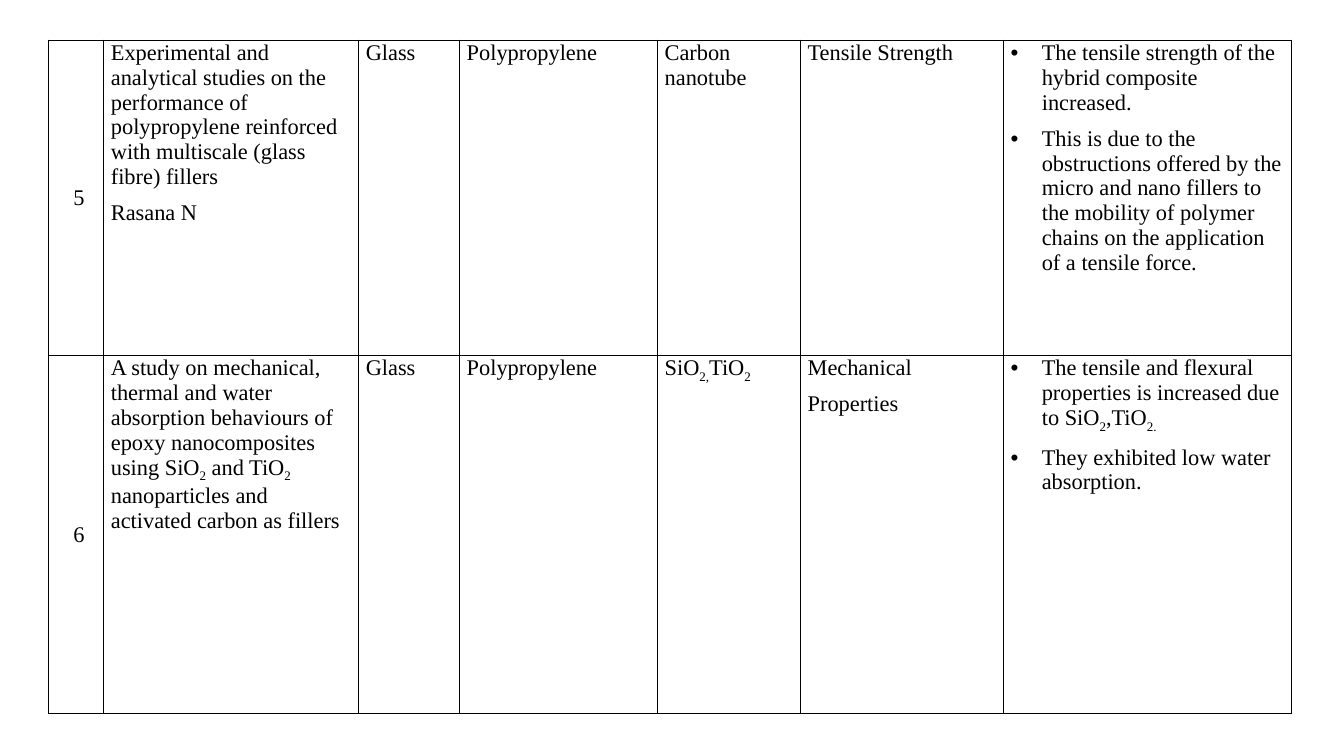
from dataclasses import dataclass

from lxml import etree
from pptx import Presentation
from pptx.dml.color import RGBColor
from pptx.enum.text import MSO_ANCHOR, PP_ALIGN
from pptx.oxml.ns import qn
from pptx.util import Inches, Pt

LEFT, CENTER = PP_ALIGN.LEFT, PP_ALIGN.CENTER
TOP, MIDDLE = MSO_ANCHOR.TOP, MSO_ANCHOR.MIDDLE
SUBSCRIPT_MARK = "~"  # wraps subscript text
BULLET_MARK = "• "  # starts a bulleted paragraph


@dataclass(frozen=True)
class Theme:
    """Colours, type and spacing of the slide."""
    font: str = "Times New Roman"
    size: float = 16
    text: str = "000000"
    border: str = "000000"
    border_width: float = 1
    space_after: float = 8
    cell_margin: float = 0.07
    bullet_indent: float = 0.31
    subscript_shift: int = -25000


class SlideBuilder:
    """Draws elements on one slide; lengths are percentages of its size."""

    def __init__(self, presentation, theme):
        """Add a blank slide and keep the theme."""
        self.presentation = presentation
        self.theme = theme
        self.slide = presentation.slides.add_slide(presentation.slide_layouts[6])

    def across(self, percent):
        """Turn a percentage of the slide width into a length."""
        return round(self.presentation.slide_width * percent / 100)

    def down(self, percent):
        """Turn a percentage of the slide height into a length."""
        return round(self.presentation.slide_height * percent / 100)

    def table(self, left, top, column_widths, row_heights, rows):
        """Add a bordered table whose first column holds centred numbers."""
        table = self.slide.shapes.add_table(
            len(row_heights), len(column_widths),
            self.across(left), self.down(top),
            self.across(sum(column_widths)), self.down(sum(row_heights))).table
        table.first_row = table.horz_banding = False
        for column, width in zip(table.columns, column_widths):
            column.width = self.across(width)
        for row, height, texts in zip(table.rows, row_heights, rows):
            row.height = self.down(height)
            for index, (cell, text) in enumerate(zip(row.cells, texts)):
                self.cell(cell, text, is_number=index == 0)

    def cell(self, cell, text, is_number):
        """Style one cell and write its paragraphs."""
        cell.margin_left = cell.margin_right = Inches(self.theme.cell_margin)
        cell.margin_top = cell.margin_bottom = 0
        cell.vertical_anchor = MIDDLE if is_number else TOP
        self.borders(cell)
        cell.fill.background()
        cell.text_frame.text = text
        for paragraph in cell.text_frame.paragraphs:
            paragraph.alignment = CENTER if is_number else LEFT
            paragraph.space_after = Pt(self.theme.space_after)
            self.paragraph(paragraph)

    def borders(self, cell):
        """Draw a solid line on each side of a cell."""
        properties = cell._tc.get_or_add_tcPr()
        for side in ("a:lnL", "a:lnR", "a:lnT", "a:lnB"):
            line = etree.SubElement(properties, qn(side),
                                    w=str(Pt(self.theme.border_width)))
            fill = etree.SubElement(line, qn("a:solidFill"))
            etree.SubElement(fill, qn("a:srgbClr"), val=self.theme.border)

    def paragraph(self, paragraph):
        """Apply bullet and subscript marks and format the runs."""
        text = paragraph.text
        if text.startswith(BULLET_MARK):
            self.bullet(paragraph)
            text = text.removeprefix(BULLET_MARK)
        paragraph.clear()
        for index, piece in enumerate(text.split(SUBSCRIPT_MARK)):
            if not piece:
                continue
            run = paragraph.add_run()
            run.text = piece
            run.font.name = self.theme.font
            run.font.size = Pt(self.theme.size)
            run.font.color.rgb = RGBColor.from_string(self.theme.text)
            if index % 2:
                run.font._element.set("baseline", str(self.theme.subscript_shift))

    def bullet(self, paragraph):
        """Give a paragraph a hanging bullet."""
        indent = Inches(self.theme.bullet_indent)
        properties = paragraph._p.get_or_add_pPr()
        properties.set("marL", str(indent))
        properties.set("indent", str(-indent))
        etree.SubElement(properties, qn("a:buFont"), typeface="Arial")
        etree.SubElement(properties, qn("a:buChar"), char=BULLET_MARK.strip())


COLUMN_WIDTHS = [4.13, 18.97, 7.51, 14.73, 10.64, 15.1, 21.43]
ROW_HEIGHTS = [41.73, 47.33]
STUDIES = [
    ["\u00a05",
     "Experimental and analytical studies on the performance of polypropylene "
     "reinforced with multiscale (glass fibre) fillers\nRasana N",
     "Glass", "Polypropylene", "Carbon nanotube", "Tensile Strength",
     "• The tensile strength of the hybrid composite increased.\n"
     "• This is due to the obstructions offered by the micro and nano fillers "
     "to the mobility of polymer chains on the application of a tensile force."],
    ["\u00a06",
     "A study on mechanical, thermal and water absorption behaviours of epoxy "
     "nanocomposites using SiO~2~ and TiO~2 ~nanoparticles and activated "
     "carbon as fillers",
     "Glass", "Polypropylene", "SiO~2,~TiO~2~", "Mechanical\nProperties",
     "• The tensile and flexural properties is increased due to "
     "SiO~2~,TiO~2.~\n"
     "• They exhibited low water absorption."],
]


def main():
    """Build the slide with the table of studies and save it."""
    presentation = Presentation()
    presentation.slide_width = Inches(13.33)
    presentation.slide_height = Inches(7.5)
    builder = SlideBuilder(presentation, Theme())
    builder.table(3.6, 5.33, COLUMN_WIDTHS, ROW_HEIGHTS, STUDIES)
    presentation.save("out.pptx")


main()
